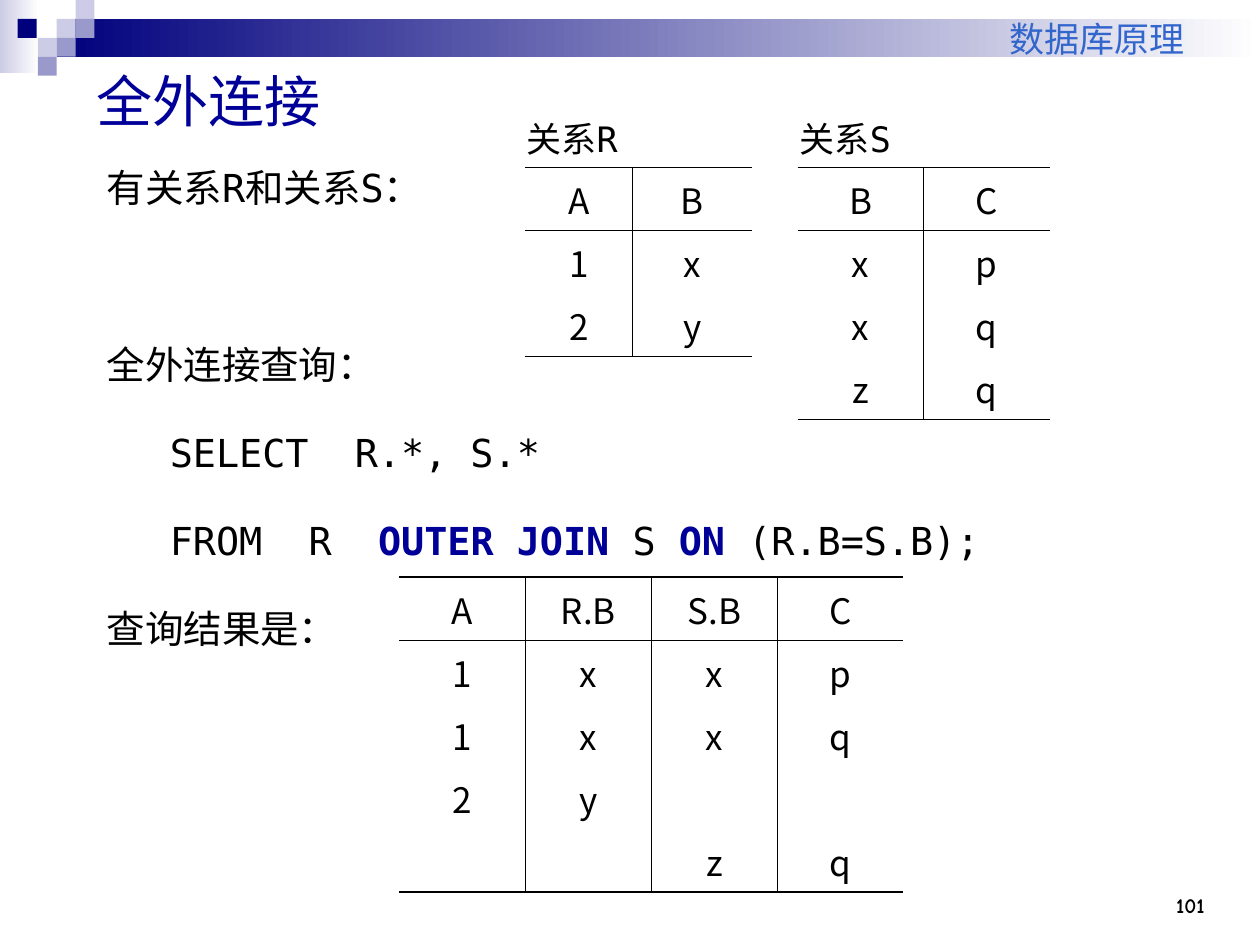
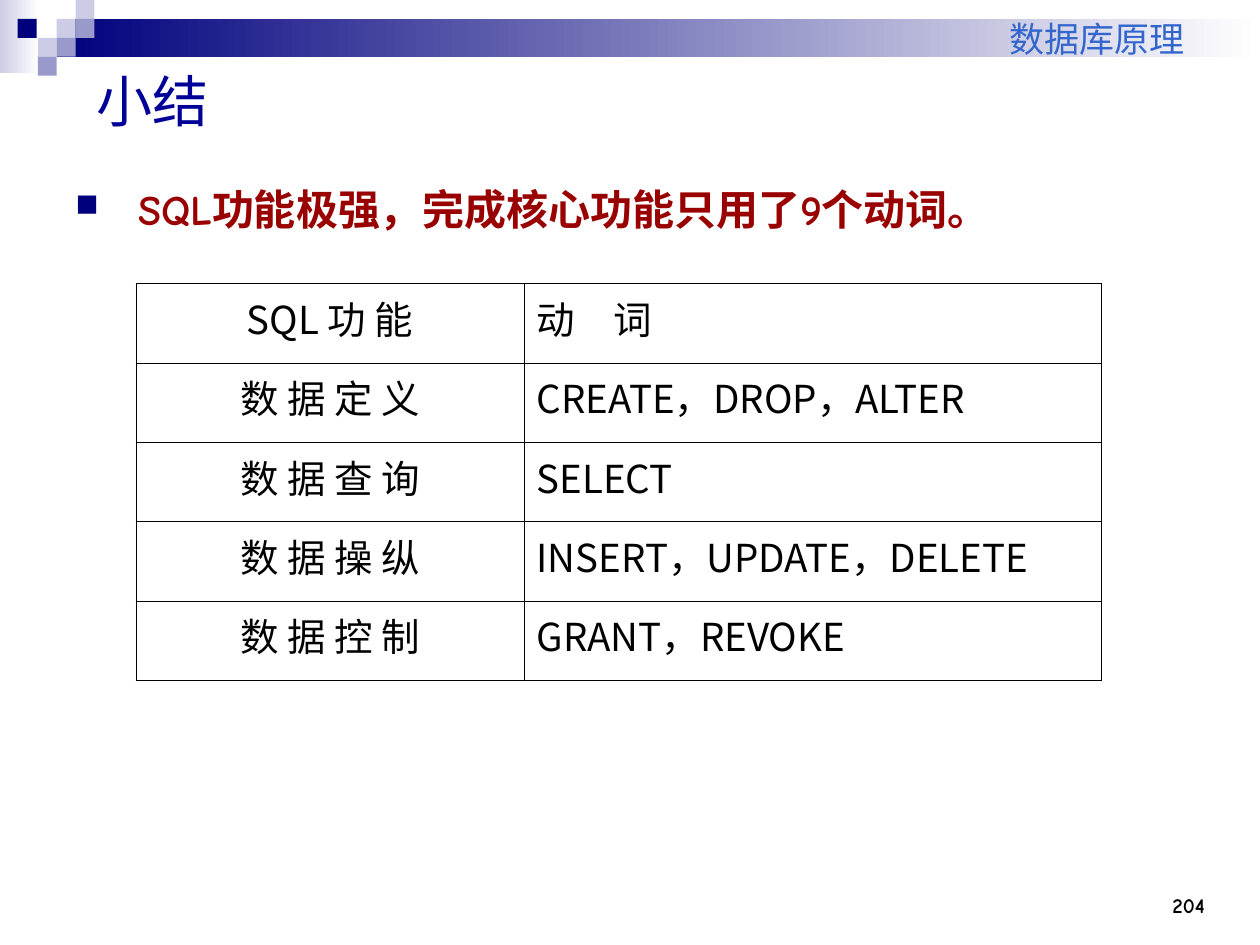
from lxml import etree
from pptx import Presentation, util as u
from pptx.dml.color import RGBColor
from pptx.enum import shapes, text
from pptx.oxml.ns import qn

COLORS = {
    "black": "000000",
    "white": "FFFFFF",
    "navy": "00007D",
    "title": "000099",
    "course": "3366CC",
    "point": "990000",
    "pale": "CCCCE6",
    "lilac": "9999CC",
}
HAND, MONO, SANS = "Comic Neue", "DejaVu Sans Mono", "Noto Sans CJK SC"
THIN, THICK = 0.45, 1.08
TILE = 0.15
TILES = [
    (0.45, 0.15, "pale"),
    (0.6, 0, "pale"),
    (0.6, 0.15, "lilac"),
    (0.3, 0.3, "pale"),
    (0.14, 0.15, "navy"),
    (0.45, 0.3, "lilac"),
    (0.3, 0.45, "lilac"),
]
LEFT, CENTER, RIGHT = text.PP_ALIGN.LEFT, text.PP_ALIGN.CENTER, text.PP_ALIGN.RIGHT


def rgb(name):
    return RGBColor.from_string(COLORS[name])


def inches(*lengths):
    return [u.Inches(length) for length in lengths]


def add_span(para, words, size, font=HAND, color="black", bold=False):
    span = para.add_run()
    span.text = words
    span.font.size = u.Pt(size)
    span.font.bold = bold
    span.font.color.rgb = rgb(color)
    span.font.name = font
    etree.SubElement(span.font._element, qn("a:ea"), typeface=font)


def add_box(slide, box, anchor=text.MSO_ANCHOR.TOP):
    frame = slide.shapes.add_textbox(*inches(*box)).text_frame
    frame.word_wrap = True
    frame.vertical_anchor = anchor
    return frame


def add_line(slide, box, words, size, align=LEFT, anchor=text.MSO_ANCHOR.BOTTOM, **style):
    para = add_box(slide, box, anchor).paragraphs[0]
    para.alignment = align
    add_span(para, words, size, **style)


def add_block(slide, box, start, end=None):
    block = slide.shapes.add_shape(shapes.MSO_SHAPE.RECTANGLE, *inches(*box))
    block.shadow.inherit = False
    block.line.fill.background()
    if end is None:
        block.fill.solid()
        block.fill.fore_color.rgb = rgb(start)
        return
    block.fill.gradient()
    block.fill.gradient_angle = 0
    for stop, name, position in zip(block.fill.gradient_stops, (start, end), (0, 1)):
        stop.color.rgb = rgb(name)
        stop.position = position


def add_frame(deck, title, number):
    slide = deck.slides.add_slide(deck.slide_layouts[6])
    add_block(slide, (0, 0, 0.31, 0.58), "pale", "white")
    add_block(slide, (0.45, 0.15, 9.55, 0.3), "navy", "white")
    for left, top, name in TILES:
        add_block(slide, (left, top, TILE, TILE), name)
    add_line(slide, (8.83, 6.83, 0.83, 0.5), number, 12, RIGHT, bold=True)
    add_line(slide, (3.83, 0, 5.67, 0.52), "数据库原理", 20, RIGHT, color="course")
    add_line(slide, (0.67, 0.42, 9, 0.75), title, 32,
             anchor=text.MSO_ANCHOR.MIDDLE, color="title")
    return slide


def set_borders(cell, widths):
    props = cell._tc.get_or_add_tcPr()
    for side in "LRTB":
        width = widths.get(side)
        line = etree.SubElement(props, qn("a:ln" + side), w=str(u.Pt(width or 0)))
        if width:
            fill = etree.SubElement(line, qn("a:solidFill"))
            etree.SubElement(fill, qn("a:srgbClr"), val=COLORS["black"])
        else:
            etree.SubElement(line, qn("a:noFill"))


def open_rules(row, column, last_row, last_column):
    return {
        "L": THIN if column else None,
        "R": THIN if column < last_column else None,
        "T": {0: THICK, 1: THIN}.get(row),
        "B": THICK if row == last_row else THIN if row == 0 else None,
    }


def full_grid(*_):
    return dict.fromkeys("LRTB", THIN)


def add_grid(slide, corner, widths, row_height, rows, rules, size, aligns):
    box = (*corner, sum(widths), row_height * len(rows))
    table = slide.shapes.add_table(len(rows), len(widths), *inches(*box)).table
    table.first_row = table.horz_banding = False
    for column, width in zip(table.columns, widths):
        column.width = u.Inches(width)
    for r, words in enumerate(rows):
        table.rows[r].height = u.Inches(row_height)
        for c, word in enumerate(words):
            cell = table.cell(r, c)
            set_borders(cell, rules(r, c, len(rows) - 1, len(widths) - 1))
            cell.fill.background()
            if word:
                para = cell.text_frame.paragraphs[0]
                para.alignment = aligns[c]
                add_span(para, word, size, SANS)


def add_relation(slide, corner, widths, rows):
    add_grid(slide, corner, widths, 0.5, rows, open_rules, 20, [CENTER] * len(widths))


def add_label(slide, corner, name):
    para = add_box(slide, (*corner, 1.9, 0.58)).paragraphs[0]
    para.line_spacing = 1.4
    add_span(para, "关系", 20)
    add_span(para, name, 20, MONO)


def add_query(slide, box):
    keyword = {"color": "title", "bold": True}
    lines = [
        (0, 0, [("有关系R和关系S：", {})]),
        (55.8, 0, [("全外连接查询：", {})]),
        (5.5, 0.5, [("SELECT  R.*, S.*", {})]),
        (5.5, 0.5, [("FROM  R  ", {}), ("OUTER JOIN", keyword), (" S ", {}),
                    ("ON", keyword), (" (R.B=S.B);", {})]),
        (5.5, 0, [("查询结果是：", {})]),
    ]
    frame = add_box(slide, box)
    for index, (before, indent, spans) in enumerate(lines):
        para = frame.add_paragraph() if index else frame.paragraphs[0]
        para._p.get_or_add_pPr().set("marL", str(u.Inches(indent)))
        para.line_spacing = 1.7
        para.space_before = u.Pt(before)
        for words, style in spans:
            add_span(para, words, 22, MONO, **style)


def add_point(slide, box, words):
    para = add_box(slide, box).paragraphs[0]
    props = para._p.get_or_add_pPr()
    props.set("marL", str(u.Inches(0.5)))
    props.set("indent", str(u.Inches(-0.5)))
    color = etree.SubElement(props, qn("a:buClr"))
    etree.SubElement(color, qn("a:srgbClr"), val=COLORS["navy"])
    etree.SubElement(props, qn("a:buSzPct"), val="75000")
    etree.SubElement(props, qn("a:buChar"), char="■")
    para.line_spacing = 1.6
    add_span(para, words, 24, color="point", bold=True)


def build_outer_join(deck):
    slide = add_frame(deck, "全外连接", "101")
    add_query(slide, (0.75, 1, 9.17, 5.83))
    add_label(slide, (4.08, 0.75), "R")
    add_label(slide, (6.25, 0.75), "S")
    add_relation(slide, (4.17, 1.33), (0.85, 0.95), ["AB", "1x", "2y"])
    add_relation(slide, (6.33, 1.33), (1, 1), ["BC", "xp", "xq", "zq"])
    add_relation(slide, (3.17, 4.58), (1, 1, 1, 1), [
        ("A", "R.B", "S.B", "C"),
        ("1", "x", "x", "p"),
        ("1", "x", "x", "q"),
        ("2", "y", "", ""),
        ("", "", "z", "q"),
    ])


def build_summary(deck):
    slide = add_frame(deck, "小结", "204")
    add_point(slide, (0.5, 1.17, 9.17, 0.9), "SQL功能极强，完成核心功能只用了9个动词。")
    add_grid(slide, (1.08, 2.25), (3.08, 4.58), 0.63, [
        ("SQL 功 能", "动　词"),
        ("数 据 定 义", "CREATE，DROP，ALTER"),
        ("数 据 查 询", "SELECT"),
        ("数 据 操 纵", "INSERT，UPDATE，DELETE"),
        ("数 据 控 制", "GRANT，REVOKE"),
    ], full_grid, 22, (CENTER, LEFT))


def main():
    deck = Presentation()
    deck.slide_width, deck.slide_height = inches(10, 7.5)
    build_outer_join(deck)
    build_summary(deck)
    deck.save("out.pptx")


if __name__ == "__main__":
    main()
